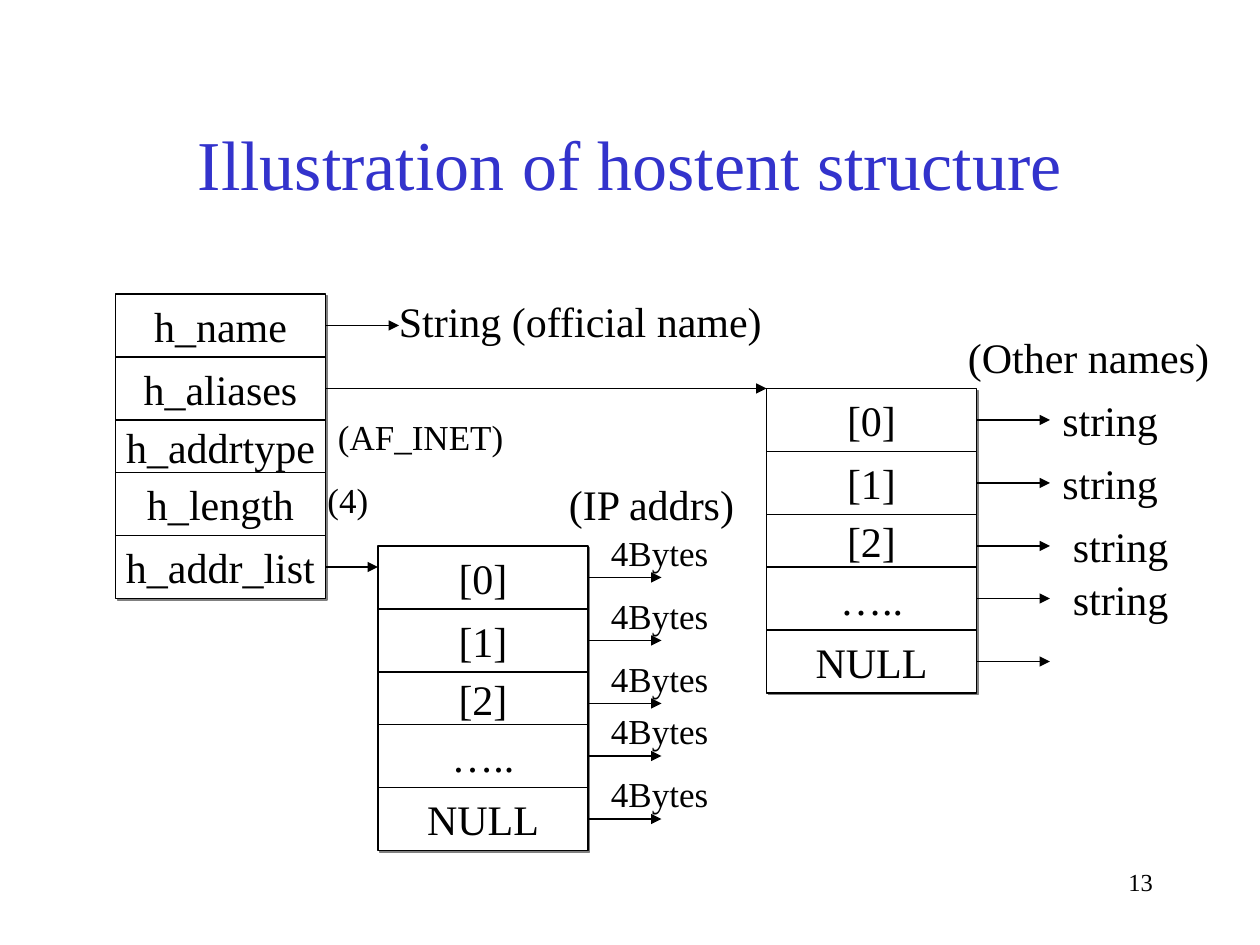
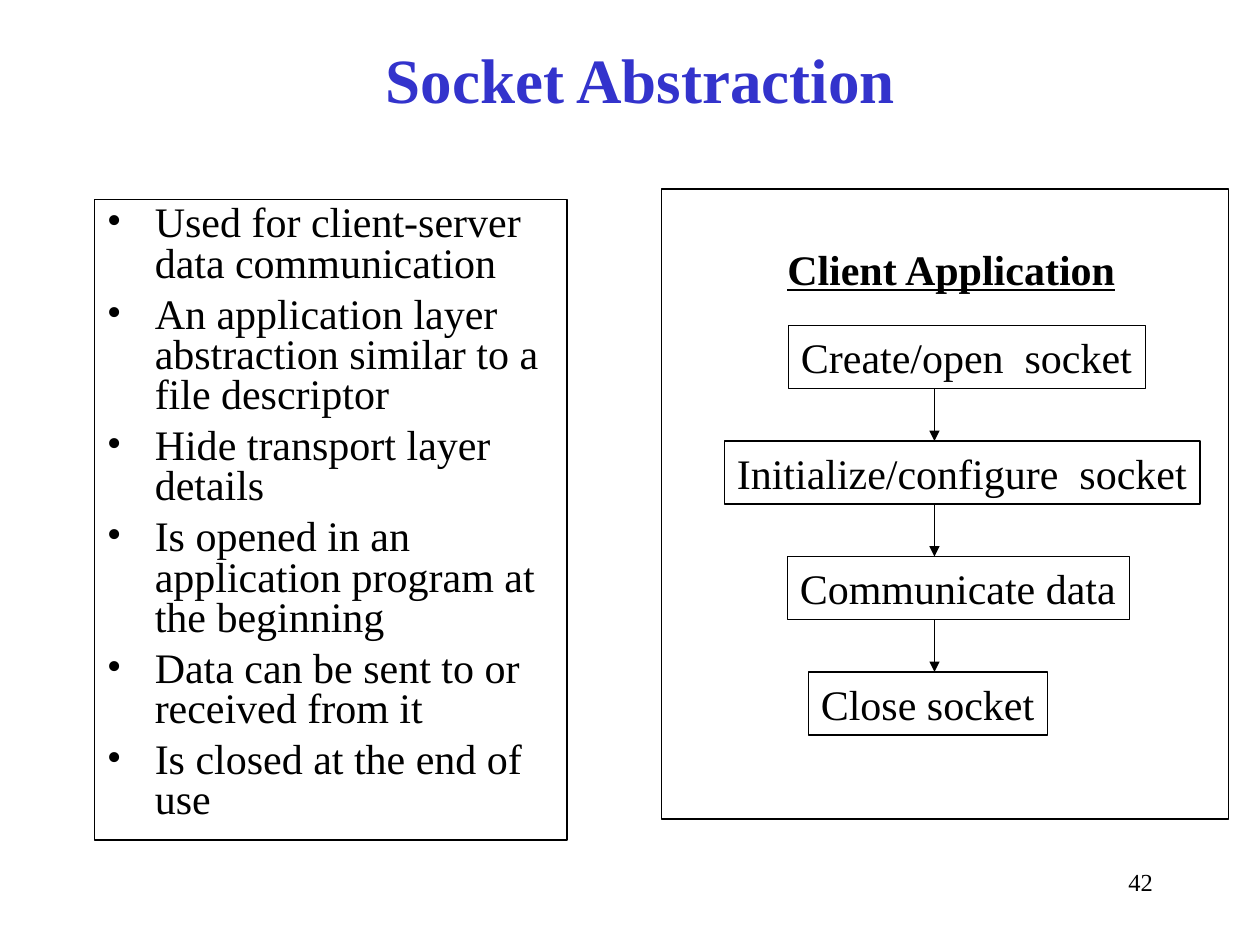
from itertools import accumulate

from lxml import etree
from pptx import Presentation
from pptx import util as u
from pptx.dml.color import RGBColor
from pptx.enum import shapes, text
from pptx.oxml import ns

PX = u.Inches(1) // 120
BLACK = RGBColor(0x00, 0x00, 0x00)
WHITE = RGBColor(0xFF, 0xFF, 0xFF)
TITLE_BLUE = RGBColor(0x33, 0x33, 0xCC)
SHADOW_GRAY = RGBColor(0x80, 0x80, 0x80)

FONT = "Times New Roman"
LINE_WIDTH = u.Pt(0.75)
LEFT, CENTER, RIGHT = text.PP_ALIGN.LEFT, text.PP_ALIGN.CENTER, text.PP_ALIGN.RIGHT
GROW = text.MSO_AUTO_SIZE.SHAPE_TO_FIT_TEXT
FIXED = text.MSO_AUTO_SIZE.NONE
RIGHT_SIDE = 3

CELL_WIDTH = 200
CELL_HEIGHTS = [60, 60, 50, 60, 60]
POINTER_DROP = 30
POINTER_LENGTH = 70
HOSTENT_FIELDS = ["h_name", "h_aliases", "h_addrtype", "h_length", "h_addr_list"]
LIST_ENTRIES = ["[0]", "[1]", "[2]", "…..", "NULL"]

SOCKET_FACTS = [
    "Used for client-server data communication",
    "An application layer abstraction similar to a file descriptor",
    "Hide transport layer details",
    "Is opened in an application program at the beginning",
    "Data can be sent to or received from it",
    "Is closed at the end of use",
]
# left, width, wording
CLIENT_STEPS = [
    (751, 340, "Create/open  socket"),
    (690, 453, "Initialize/configure  socket"),
    (750, 326, "Communicate data"),
    (770, 228, "Close socket"),
]
STEP_TOPS = [310, 420, 530, 640]
STEP_HEIGHT = 60
FLOW_X = 890


def px(*lengths):
    return [u.Emu(length * PX) for length in lengths]


def sub(parent, tag, **attributes):
    return etree.SubElement(parent, ns.qn(tag), attributes)


def set_font(paragraph, size=24, color=BLACK, **formats):
    formats = {"name": FONT, "size": u.Pt(size), "bold": False, **formats}
    for attribute, value in formats.items():
        setattr(paragraph.font, attribute, value)
    paragraph.font.color.rgb = color


def write(shape, wording, align=LEFT, anchor=text.MSO_ANCHOR.TOP, wrap=False,
          fit=FIXED, **font):
    frame = shape.text_frame
    frame.text = wording
    layout = {"word_wrap": wrap, "vertical_anchor": anchor, "auto_size": fit}
    for attribute, value in layout.items():
        setattr(frame, attribute, value)
    frame.paragraphs[0].alignment = align
    set_font(frame.paragraphs[0], **font)


def add_label(slide, left, top, width, wording, height=60, fit=GROW, **formats):
    label = slide.shapes.add_textbox(*px(left, top, width, height))
    write(label, wording, fit=fit, **formats)


def add_box(slide, left, top, width, height, filled=True):
    box = slide.shapes.add_shape(
        shapes.MSO_SHAPE.RECTANGLE, *px(left, top, width, height))
    box.shadow.inherit = False
    if filled:
        box.fill.solid()
        box.fill.fore_color.rgb = WHITE
    else:
        box.fill.background()
    box.line.color.rgb = BLACK
    box.line.width = LINE_WIDTH
    return box


def add_hard_shadow(box):
    """Give the box a sharp grey shadow to the lower right."""
    effects = box._element.spPr.find(ns.qn("a:effectLst"))
    shadow = sub(effects, "a:outerShdw", dist=str(u.Pt(1.4)), dir="2700000",
                 algn="ctr", rotWithShape="0")
    sub(shadow, "a:srgbClr", val=str(SHADOW_GRAY))


def add_arrow(slide, start, end):
    arrow = slide.shapes.add_connector(
        shapes.MSO_CONNECTOR.STRAIGHT, *px(*start, *end))
    arrow.line.color.rgb = BLACK
    arrow.line.width = LINE_WIDTH
    sub(arrow.line._get_or_add_ln(), "a:tailEnd", type="triangle")
    sub(arrow._element.spPr, "a:effectLst")
    return arrow


def add_pointer(slide, cell, y, target_x):
    """Point from the cell's right edge, joined to it where y is its middle."""
    arrow = add_arrow(slide, ((cell.left + cell.width) // PX, y), (target_x, y))
    if cell.top + cell.height // 2 == y * PX:
        arrow.begin_connect(cell, RIGHT_SIDE)


def add_cell_column(slide, left, top, entries):
    """Stack the cells and return each one with the y of its pointer."""
    tops = accumulate(CELL_HEIGHTS, initial=top)
    cells = []
    for entry, cell_top, height in zip(entries, tops, CELL_HEIGHTS):
        cell = add_box(slide, left, cell_top, CELL_WIDTH, height)
        add_hard_shadow(cell)
        write(cell, entry, align=CENTER, anchor=text.MSO_ANCHOR.MIDDLE)
        cells.append((cell, cell_top + POINTER_DROP))
    return cells


def add_pointer_list(slide, left, top):
    """Stack the list cells with an arrow out of each; return the arrows' y."""
    cells = add_cell_column(slide, left, top, LIST_ENTRIES)
    for cell, y in cells:
        add_pointer(slide, cell, y, left + CELL_WIDTH + POINTER_LENGTH)
    return [y for _, y in cells]


def add_bullets(box, wordings):
    frame = box.text_frame
    frame.word_wrap = True
    frame.vertical_anchor = text.MSO_ANCHOR.TOP
    for index, wording in enumerate(wordings):
        paragraph = frame.add_paragraph() if index else frame.paragraphs[0]
        paragraph.text = wording
        paragraph.alignment = LEFT
        paragraph.line_spacing = 0.8
        if index:
            paragraph.space_before = u.Pt(6)
        properties = paragraph._p.get_or_add_pPr()
        indent = u.Inches(0.38)
        properties.set("marL", str(indent))
        properties.set("indent", str(-indent))
        sub(properties, "a:buFont", typeface=FONT)
        sub(properties, "a:buChar", char="•")
        set_font(paragraph)


def add_titled_slide(deck, title, place, number, **font):
    slide = deck.slides.add_slide(deck.slide_layouts[5])
    heading = slide.shapes.title
    heading.left, heading.top, heading.width, heading.height = px(*place)
    write(heading, title, align=CENTER, anchor=text.MSO_ANCHOR.MIDDLE, wrap=True,
          color=TITLE_BLUE, **font)
    add_label(slide, 860, 820, 250, number, fit=FIXED, align=RIGHT, wrap=True, size=14)
    return slide


def build_hostent_slide(deck):
    slide = add_titled_slide(deck, "Illustration of hostent structure",
                             (90, 80, 1020, 150), "13", size=40)
    fields = dict(zip(HOSTENT_FIELDS,
                      add_cell_column(slide, 110, 280, HOSTENT_FIELDS)))
    for field, target_x in [("h_name", 380), ("h_aliases", 730), ("h_addr_list", 360)]:
        add_pointer(slide, *fields[field], target_x)

    for y in add_pointer_list(slide, 360, 520):
        add_label(slide, 570, y - 50, 117, "4Bytes", height=53, size=20)
    alias_ys = add_pointer_list(slide, 730, 370)
    for left, y in zip([1000, 1000, 1010, 1010], alias_ys):
        add_label(slide, left, y - 30, 115, "string")

    add_label(slide, 368, 276, 371, "String (official name)")
    add_label(slide, 310, 390, 182, "(AF_INET)", height=53, size=20)
    add_label(slide, 300, 450, 63, "(4)", height=53, size=20)
    add_label(slide, 530, 450, 182, "(IP addrs)")
    add_label(slide, 910, 310, 254, "(Other names)")


def build_socket_slide(deck):
    slide = add_titled_slide(deck, "Socket Abstraction", (100, 40, 1020, 70), "42",
                             size=36, bold=True)
    add_bullets(add_box(slide, 90, 190, 450, 610, filled=False), SOCKET_FACTS)

    add_box(slide, 630, 180, 540, 600)
    add_label(slide, 738, 226, 338, "Client Application", bold=True, underline=True)
    for top, (left, width, wording) in zip(STEP_TOPS, CLIENT_STEPS):
        step = add_box(slide, left, top, width, STEP_HEIGHT, filled=False)
        write(step, wording, fit=GROW)
    for top, next_top in zip(STEP_TOPS, STEP_TOPS[1:]):
        add_arrow(slide, (FLOW_X, top + STEP_HEIGHT), (FLOW_X, next_top))


def main():
    deck = Presentation()
    deck.slide_width, deck.slide_height = px(1200, 900)
    build_hostent_slide(deck)
    build_socket_slide(deck)
    deck.save("out.pptx")


if __name__ == "__main__":
    main()
